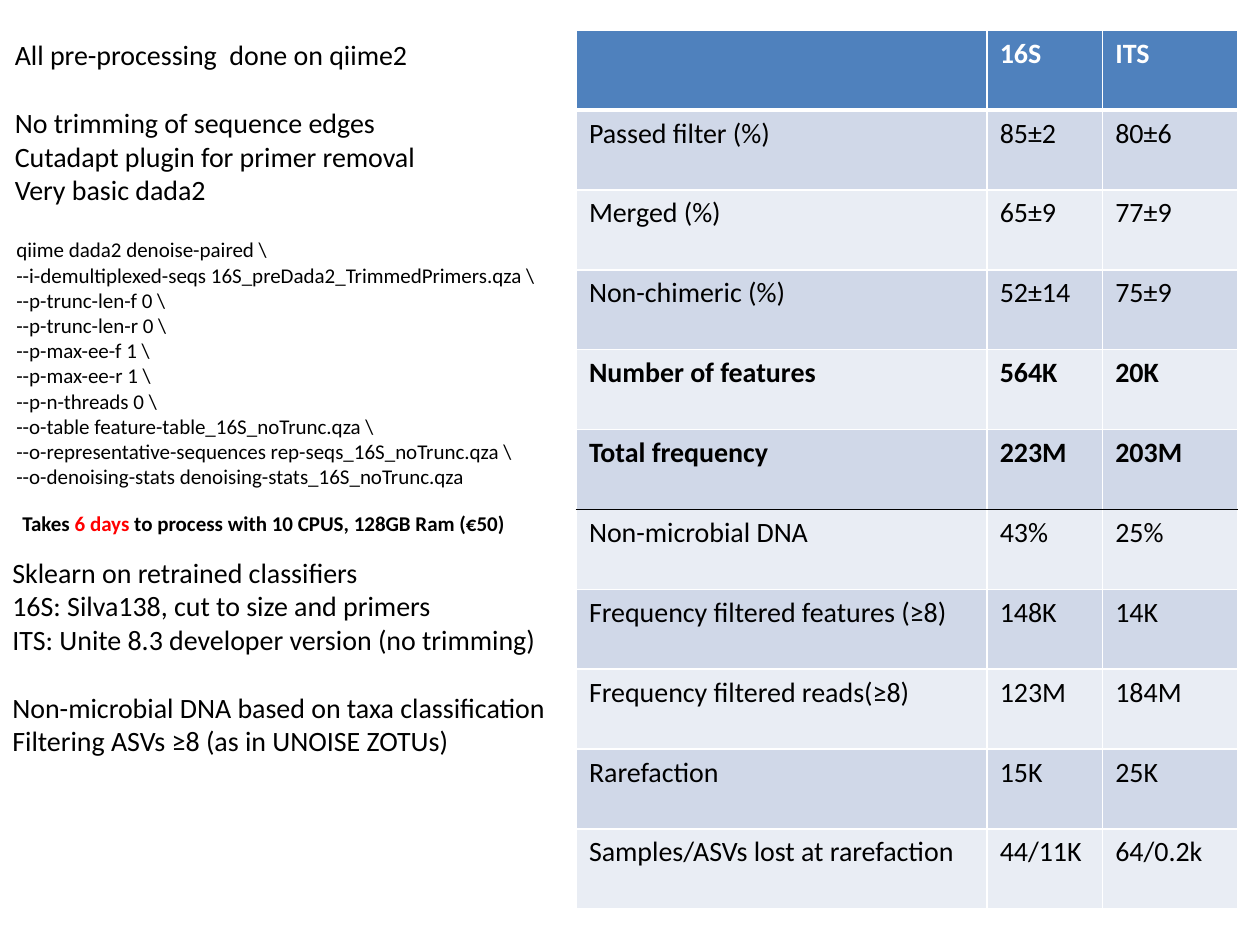
from lxml import etree
from pptx import Presentation
from pptx.dml.color import RGBColor
from pptx.oxml.ns import qn
from pptx.util import Cm, Pt

FONT = "Calibri"
BLACK = RGBColor(0x00, 0x00, 0x00)
WHITE = RGBColor(0xFF, 0xFF, 0xFF)
RED = RGBColor(0xFF, 0x00, 0x00)
HEADER_BLUE = RGBColor(0x4F, 0x81, 0xBD)
BANDS = (RGBColor(0xD0, 0xD8, 0xE8), RGBColor(0xE9, 0xED, 0xF4))

BODY_SIZE = 16
CODE_SIZE = 12
LINE_HEIGHT = 1.22  # line height of the font, relative to its size

# Each box holds groups of lines, set apart by one line of space.
PREPROCESSING = [
    ["All pre-processing  done on qiime2"],
    ["No trimming of sequence edges",
     "Cutadapt plugin for primer removal",
     "Very basic dada2"],
]
COMMAND = [
    ["qiime dada2 denoise-paired \\",
     "--i-demultiplexed-seqs 16S_preDada2_TrimmedPrimers.qza \\",
     "--p-trunc-len-f 0 \\",
     "--p-trunc-len-r 0 \\",
     "--p-max-ee-f 1 \\",
     "--p-max-ee-r 1 \\",
     "--p-n-threads 0 \\",
     "--o-table feature-table_16S_noTrunc.qza \\",
     "--o-representative-sequences rep-seqs_16S_noTrunc.qza \\",
     "--o-denoising-stats denoising-stats_16S_noTrunc.qza"],
]
CLASSIFICATION = [
    ["Sklearn on retrained classifiers",
     "16S: Silva138, cut to size and primers",
     "ITS: Unite 8.3 developer version (no trimming)"],
    ["Non-microbial DNA based on taxa classification",
     "Filtering ASVs ≥8 (as in UNOISE ZOTUs)"],
]
RUNTIME = [
    ("Takes ", BLACK),
    ("6 days ", RED),
    ("to process with 10 CPUS, 128GB Ram (€50)", BLACK),
]

# Left, top, width and height in cm, text size, wrapping, groups of lines
TEXT_BOXES = [
    ((0.08, 4.65, 11.63, 5.38), CODE_SIZE, True, COMMAND),
    ((0.05, 0.64, 10.36, 3.76), BODY_SIZE, True, PREPROCESSING),
    ((0, 11.07, 11.38, 5.05), BODY_SIZE, False, CLASSIFICATION),
]
RUNTIME_AREA = (0.2, 10.16, 12.7, 0.76)

RESULTS = [
    ("", "16S", "ITS"),
    ("Passed filter (%)", "85±2", "80±6"),
    ("Merged (%)", "65±9", "77±9"),
    ("Non-chimeric (%)", "52±14", "75±9"),
    ("Number of features", "564K", "20K"),
    ("Total frequency", "223M", "203M"),
    ("Non-microbial DNA", "43%", "25%"),
    ("Frequency filtered features (≥8)", "148K", "14K"),
    ("Frequency filtered reads(≥8)", "123M", "184M"),
    ("Rarefaction", "15K", "25K"),
    ("Samples/ASVs lost at rarefaction", "44/11K", "64/0.2k"),
]
BOLD_ROWS = {"", "Number of features", "Total frequency"}
LAST_ROW_ABOVE_RULE = 5
TABLE_LEFT, TABLE_TOP = 11.62, 0.61
COLUMN_WIDTHS = (8.28, 2.33, 2.72)
ROW_HEIGHT = 1.61


def style(font, size, color=BLACK, bold=False):
    font.name = FONT
    font.size = Pt(size)
    font.bold = bold
    font.color.rgb = color


def add_text_frame(page, area, wrap):
    box = page.shapes.add_textbox(*(Cm(length) for length in area))
    box.text_frame.word_wrap = wrap
    return box.text_frame


def add_text_box(page, area, size, wrap, groups):
    frame = add_text_frame(page, area, wrap)
    frame.text = "\n".join(line for group in groups for line in group)
    for paragraph in frame.paragraphs:
        style(paragraph.runs[0].font, size)
    start = 0
    for group in groups[:-1]:
        start += len(group)
        frame.paragraphs[start].space_before = Pt(round(size * LINE_HEIGHT, 1))


def add_runtime(page):
    paragraph = add_text_frame(page, RUNTIME_AREA, True).paragraphs[0]
    for text, color in RUNTIME:
        span = paragraph.add_run()
        span.text = text
        style(span.font, CODE_SIZE, color, bold=True)


def set_border(cell, side, color, width):
    """Draw one cell edge; side is L, R, T or B."""
    properties = cell._tc.get_or_add_tcPr()
    line = etree.SubElement(properties, qn(f"a:ln{side}"), w=str(Pt(width)))
    fill = etree.SubElement(line, qn("a:solidFill"))
    etree.SubElement(fill, qn("a:srgbClr"), val=str(color))


def edge_below(row):
    """Colour and width of the line under a row; -1 is the table's top edge."""
    if row == 0:
        return WHITE, 3
    return (BLACK if row == LAST_ROW_ABOVE_RULE else WHITE), 1


def add_results(page):
    table = page.shapes.add_table(
        len(RESULTS), len(COLUMN_WIDTHS), Cm(TABLE_LEFT), Cm(TABLE_TOP),
        Cm(sum(COLUMN_WIDTHS)), Cm(ROW_HEIGHT * len(RESULTS))).table
    for column, width in zip(table.columns, COLUMN_WIDTHS):
        column.width = Cm(width)
    for row, values in enumerate(RESULTS):
        table.rows[row].height = Cm(ROW_HEIGHT)
        is_header = row == 0
        for column, text in enumerate(values):
            cell = table.cell(row, column)
            cell.text = text
            style(cell.text_frame.paragraphs[0].font, BODY_SIZE,
                  WHITE if is_header else BLACK, values[0] in BOLD_ROWS)
            for side in "LR":
                set_border(cell, side, WHITE, 1)
            set_border(cell, "T", *edge_below(row - 1))
            set_border(cell, "B", *edge_below(row))
            cell.fill.solid()
            cell.fill.fore_color.rgb = HEADER_BLUE if is_header else BANDS[(row - 1) % 2]


def main():
    deck = Presentation()
    deck.slide_width, deck.slide_height = Cm(25.4), Cm(19.05)
    page = deck.slides.add_slide(deck.slide_layouts[6])
    add_results(page)
    for area, size, wrap, groups in TEXT_BOXES:
        add_text_box(page, area, size, wrap, groups)
    add_runtime(page)
    deck.save("out.pptx")


if __name__ == "__main__":
    main()
